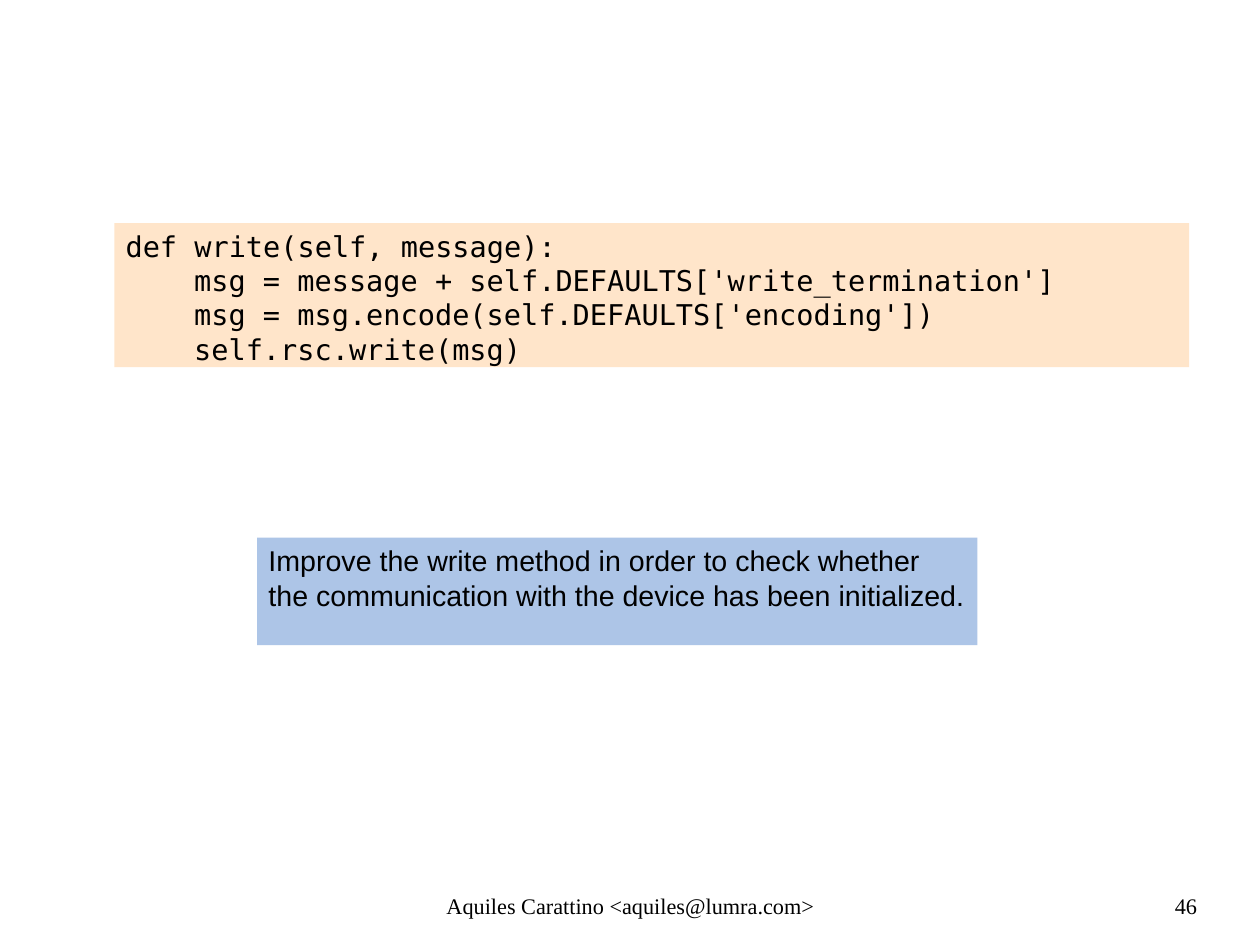
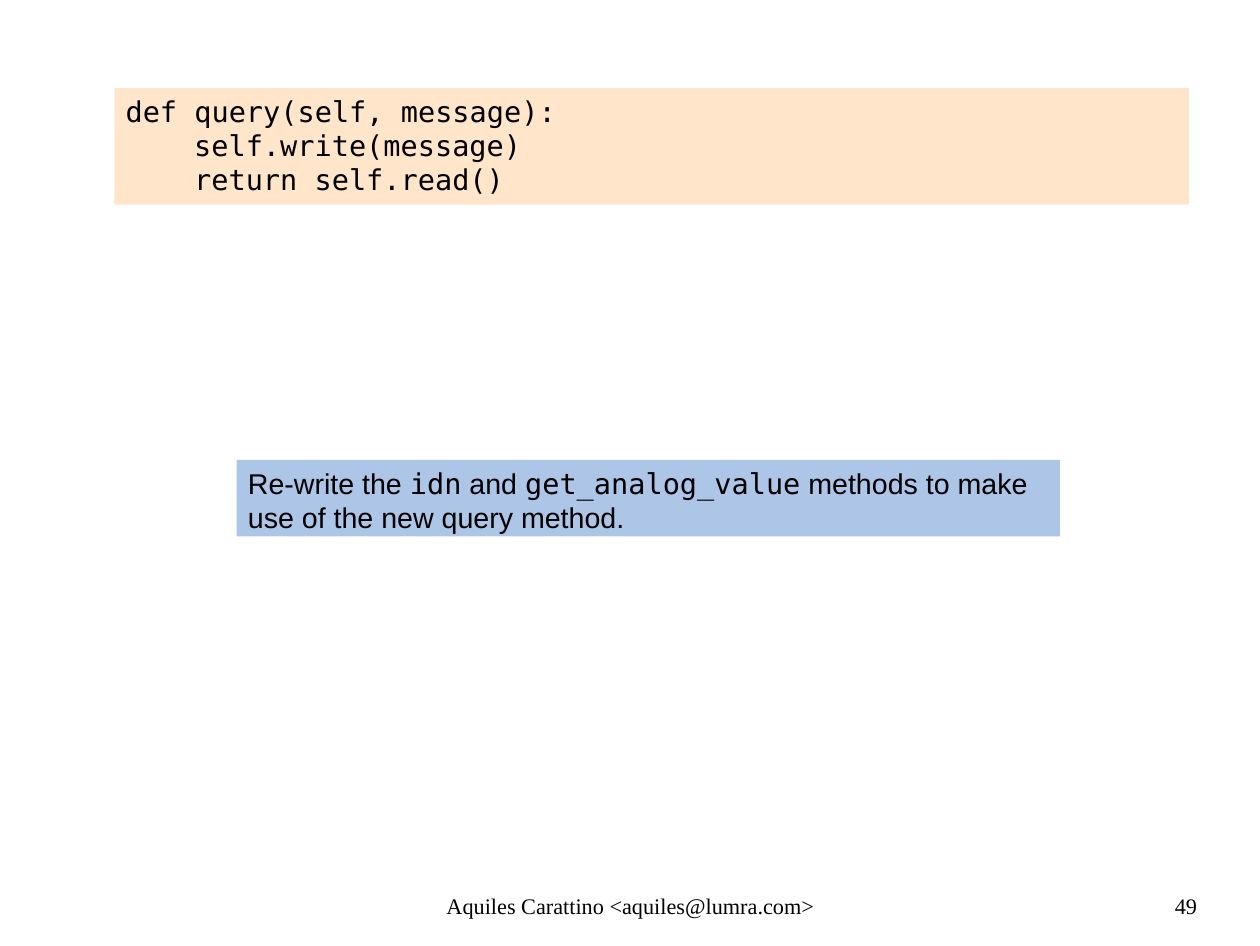
import pptx
import pptx.util
import pptx.dml.color
import pptx.enum.shapes
import pptx.enum.text

Inches = pptx.util.Inches
Pt = pptx.util.Pt
RGBColor = pptx.dml.color.RGBColor
ALIGN = pptx.enum.text.PP_ALIGN

BLACK = RGBColor(0x00, 0x00, 0x00)
CODE_FILL = RGBColor(0xFF, 0xE5, 0xCA)
TASK_FILL = RGBColor(0xAD, 0xC5, 0xE7)
CODE_FONT, TASK_FONT, FOOTER_FONT = "DejaVu Sans Mono", "Arial", "Times New Roman"
AUTHOR = "Aquiles Carattino <aquiles@lumra.com>"


class Deck:
    """Holds the shared style and the slide being built."""

    body_size = Pt(18)
    footer_size = Pt(14)
    code_indent = Inches(0.6)  # four monospaced characters

    def __init__(self):
        self.presentation = pptx.Presentation()
        self.presentation.slide_width = Inches(11.02)
        self.presentation.slide_height = Inches(8.27)
        self.slide = None

    def new_slide(self, number):
        self.slide = self.presentation.slides.add_slide(self.presentation.slide_layouts[6])
        self.footer(AUTHOR, 3.77, 3.49, ALIGN.CENTER)
        self.footer(str(number), 7.9, 2.57, ALIGN.RIGHT)

    def style(self, paragraph, font, size, align=ALIGN.LEFT):
        paragraph.alignment = align
        paragraph.font.name = font
        paragraph.font.size = size
        paragraph.font.color.rgb = BLACK

    def footer(self, text, left, width, align):
        box = self.slide.shapes.add_textbox(
            Inches(left), Inches(7.8), Inches(width), Inches(0.37))
        frame = box.text_frame
        frame.word_wrap = True
        frame.margin_left = frame.margin_right = 0
        frame.margin_top = frame.margin_bottom = 0
        frame.text = text
        self.style(frame.paragraphs[0], FOOTER_FONT, self.footer_size, align)

    def panel(self, left, top, width, height, fill):
        panel = self.slide.shapes.add_shape(
            pptx.enum.shapes.MSO_SHAPE.RECTANGLE,
            Inches(left), Inches(top), Inches(width), Inches(height))
        panel.shadow.inherit = False
        panel.fill.solid()
        panel.fill.fore_color.rgb = fill
        panel.line.fill.background()
        frame = panel.text_frame
        frame.word_wrap = True
        frame.vertical_anchor = pptx.enum.text.MSO_ANCHOR.TOP
        return frame

    def code(self, top, height, signature, *body):
        """A function: its signature, then its indented body."""
        frame = self.panel(1, top, 9.4, height, CODE_FILL)
        frame.text = "\n".join((signature,) + body)
        for paragraph in frame.paragraphs:
            self.style(paragraph, CODE_FONT, self.body_size)
        for paragraph in frame.paragraphs[1:]:
            paragraph._p.get_or_add_pPr().set("marL", str(self.code_indent))

    def task(self, left, top, width, height, *parts):
        """An exercise; every second part is a code name."""
        paragraph = self.panel(left, top, width, height, TASK_FILL).paragraphs[0]
        self.style(paragraph, TASK_FONT, self.body_size)
        for index, part in enumerate(parts):
            run = paragraph.add_run()
            run.text = part
            if index % 2:
                run.font.name = CODE_FONT


def main():
    deck = Deck()

    # Write method
    deck.new_slide(46)
    deck.code(1.95, 1.26,
              "def write(self, message):",
              "msg = message + self.DEFAULTS['write_termination']",
              "msg = msg.encode(self.DEFAULTS['encoding'])",
              "self.rsc.write(msg)")
    deck.task(2.25, 4.7, 6.3, 0.94,
              "Improve the write method in order to check whether "
              "the communication with the device has been initialized.")

    # Query method
    deck.new_slide(49)
    deck.code(0.77, 1.02,
              "def query(self, message):",
              "self.write(message)",
              "return self.read()")
    deck.task(2.07, 4.02, 7.2, 0.67,
              "Re-write the ", "idn", " and ", "get_analog_value",
              " methods to make use of the new query method.")

    deck.presentation.save("out.pptx")


if __name__ == "__main__":
    main()
